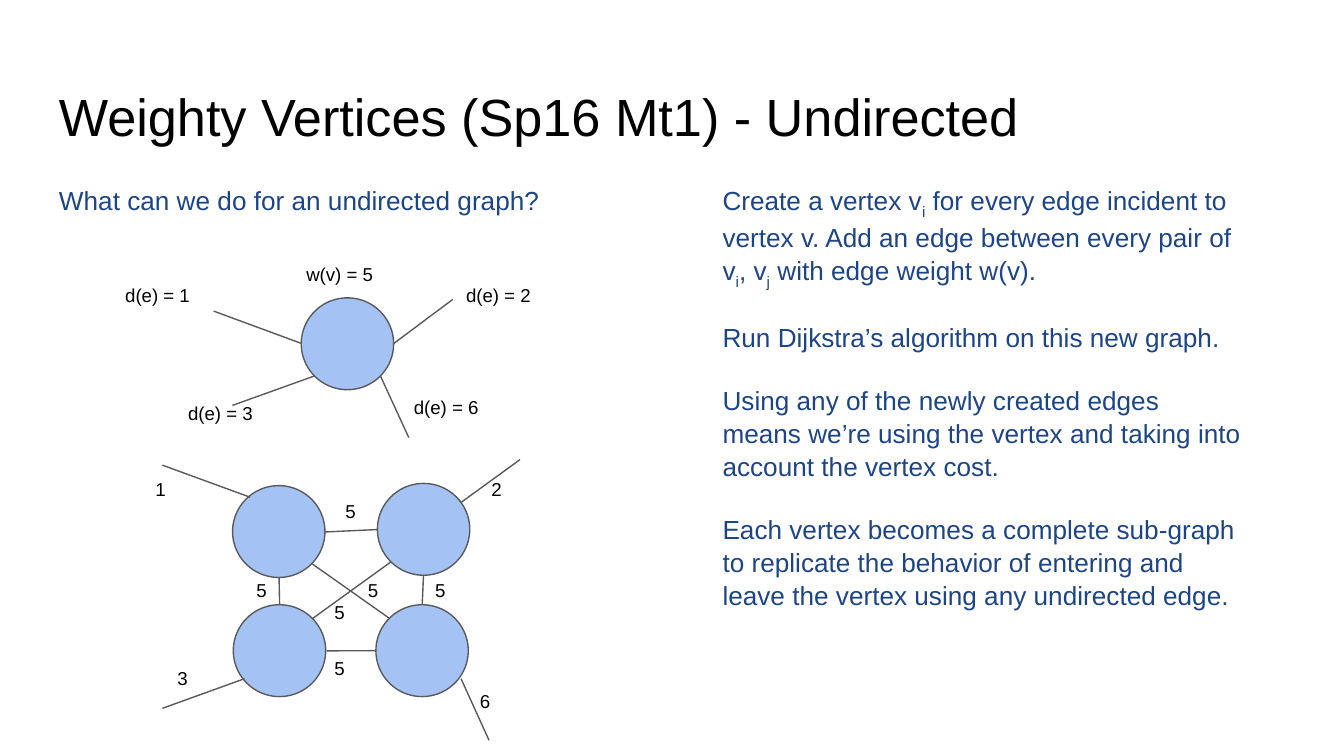
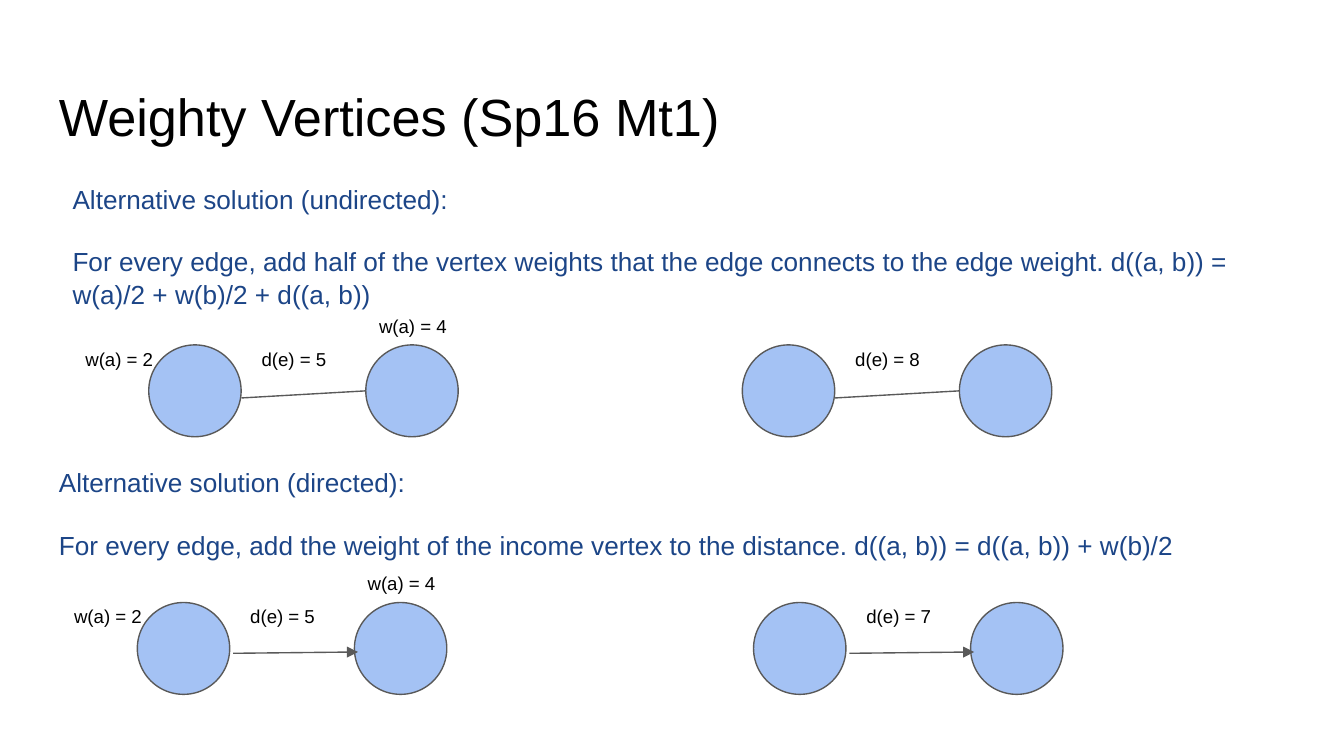
from lxml import etree
from pptx import Presentation
from pptx.dml.color import RGBColor
from pptx.enum import shapes, text
from pptx.oxml import ns
from pptx.util import Pt

BLACK = RGBColor(0x00, 0x00, 0x00)
NAVY = RGBColor(0x1C, 0x45, 0x87)
SKY = RGBColor(0xA4, 0xC2, 0xF4)
GRAY = RGBColor(0x59, 0x59, 0x59)
FONT = "Arial"
INSET = 7.2
NODE_WIDTH, NODE_HEIGHT = 49.5, 49.2


def add_text(slide, box, paragraphs, size, color, line_spacing=1.0, space_after=0):
    frame = slide.shapes.add_textbox(*map(Pt, box)).text_frame
    frame.word_wrap = True
    frame.vertical_anchor = text.MSO_ANCHOR.TOP
    frame.margin_left = frame.margin_right = Pt(INSET)
    frame.margin_top = frame.margin_bottom = Pt(INSET)
    for index, content in enumerate(paragraphs):
        paragraph = frame.add_paragraph() if index else frame.paragraphs[0]
        paragraph.line_spacing = line_spacing
        paragraph.space_after = Pt(space_after)
        for position, part in enumerate(content.split("_")):
            run = paragraph.add_run()
            run.text = part
            run.font.name = FONT
            run.font.size = Pt(size)
            run.font.color.rgb = color
            if position % 2:
                run._r.get_or_add_rPr().set("baseline", "-25000")


def add_title(slide, title):
    add_text(slide, (24.5, 35.3, 671, 45.4), [title], 28, BLACK, 1.08)


def add_body(slide, box, paragraphs):
    add_text(slide, box, paragraphs, 14, NAVY, 1.05, 16)


def add_label(slide, left, top, label, width=54.7, height=23):
    add_text(slide, (left, top, width, height), [label], 10, BLACK)


def add_node(slide, left, top):
    node = slide.shapes.add_shape(
        shapes.MSO_SHAPE.OVAL, Pt(left), Pt(top), Pt(NODE_WIDTH), Pt(NODE_HEIGHT))
    node.shadow.inherit = False
    node.fill.solid()
    node.fill.fore_color.rgb = SKY
    node.line.color.rgb = GRAY
    node.line.width = Pt(0.75)


def add_edge(slide, left, top, ends, directed=False):
    x1, y1, x2, y2 = ends
    edge = slide.shapes.add_connector(
        shapes.MSO_CONNECTOR.STRAIGHT,
        Pt(left + x1), Pt(top + y1), Pt(left + x2), Pt(top + y2))
    edge.line.color.rgb = GRAY
    edge.line.width = Pt(0.75)
    if directed:
        arrow = etree.SubElement(edge.line._get_or_add_ln(), ns.qn("a:tailEnd"))
        arrow.set("type", "triangle")
        arrow.set("w", "med")
        arrow.set("len", "med")
    etree.SubElement(edge._element.spPr, ns.qn("a:effectLst"))


def draw_graph(slide, left, top, nodes, edges, labels, label_width):
    for x, y in nodes:
        add_node(slide, left + x, top + y)
    for ends in edges:
        add_edge(slide, left, top, ends)
    for label, x, y in labels:
        add_label(slide, left + x, top + y, label, label_width)


def draw_weighted_vertex(slide, left, top):
    edges = [(54.5, 31.7, 101.5, 49), (64.5, 82.2, 108.6, 66.4),
             (159, 99.4, 143.8, 66.4), (151, 49, 182.6, 25.4)]
    labels = [("w(v) = 5", 97, 0), ("d(e) = 2", 182.6, 11), ("d(e) = 6", 154.6, 71.2),
              ("d(e) = 1", 0, 11), ("d(e) = 3", 33.7, 74.3)]
    draw_graph(slide, left, top, [(101.4, 24.6)], edges, labels, 54.7)


def draw_complete_subgraph(slide, left, top):
    nodes = [(49.6, 15.2), (127.2, 14), (50, 79), (126.4, 79)]
    outer_edges = [(12, 134.5, 56, 118.6), (12, 4.2, 59, 21.4),
                   (187, 151.6, 172, 118.6), (172, 24.2, 203.6, 1.2)]
    inner_edges = [(99.2, 40, 127.2, 38.7), (100, 103.7, 126.4, 103.6),
                   (151.9, 63.2, 151.2, 79), (74.5, 64.4, 74.8, 79),
                   (92.4, 86.4, 134.5, 56), (92.4, 57.2, 133.8, 86.4)]
    labels = [("1", 1.2, 4.8), ("3", 13, 106.4), ("6", 175, 118.6), ("2", 181.2, 4.8)]
    inner_labels = [(151, 58.8), (97, 71), (55.2, 58.8),
                    (115, 58.8), (97, 101), (103, 16.8)]
    labels += [("5", x, y) for x, y in inner_labels]
    draw_graph(slide, left, top, nodes, outer_edges + inner_edges, labels, 23)


def draw_edge_pair(slide, left, top, distance, weighted=False, directed=False):
    second = 116.3
    for x in (0, second):
        add_node(slide, left + x, top)
    ends = (51.3, 27.2, 118.2, 26.5) if directed else (49.7, 28.4, second, 24.6)
    add_edge(slide, left, top, ends, directed)
    labels = [(f"d(e) = {distance}", 53.4, -4.7)]
    if weighted:
        labels += [("w(a) = 2", -41, -4.7), ("w(a) = 4", second, -22.4)]
    for label, x, y in labels:
        add_label(slide, left + x, top + y, label, 81.4, 33)


def build_undirected_slide(slide):
    add_title(slide, "Weighty Vertices (Sp16 Mt1) - Undirected")
    add_body(slide, (24.5, 90.7, 656.6, 67.7), ["What can we do for an undirected graph?"])
    draw_weighted_vertex(slide, 60, 135)
    draw_complete_subgraph(slide, 75, 245)
    add_body(slide, (380, 90.7, 292.3, 275.8), [
        "Create a vertex v_i_ for every edge incident to vertex v. "
        "Add an edge between every pair of v_i_, v_j_ with edge weight w(v).",
        "Run Dijkstra’s algorithm on this new graph.",
        "Using any of the newly created edges means we’re using the vertex "
        "and taking into account the vertex cost.",
        "Each vertex becomes a complete sub-graph to replicate the behavior "
        "of entering and leave the vertex using any undirected edge.",
    ])


def build_alternatives_slide(slide):
    add_title(slide, "Weighty Vertices (Sp16 Mt1)")
    add_body(slide, (31.8, 90, 636.5, 87), [
        "Alternative solution (undirected):",
        "For every edge, add half of the vertex weights that the edge connects "
        "to the edge weight. d((a, b)) = w(a)/2 + w(b)/2 + d((a, b))",
    ])
    draw_edge_pair(slide, 79.7, 184.8, 5, weighted=True)
    draw_edge_pair(slide, 397.7, 184.8, 8)
    add_body(slide, (24.5, 241.9, 636.5, 87), [
        "Alternative solution (directed):",
        "For every edge, add the weight of the income vertex to the distance. "
        "d((a, b)) = d((a, b)) + w(b)/2",
    ])
    draw_edge_pair(slide, 73.6, 322.8, 5, weighted=True, directed=True)
    draw_edge_pair(slide, 403.7, 322.8, 7, directed=True)


def main():
    presentation = Presentation()
    presentation.slide_width, presentation.slide_height = Pt(720), Pt(405)
    for build in (build_undirected_slide, build_alternatives_slide):
        build(presentation.slides.add_slide(presentation.slide_layouts[6]))
    presentation.save("out.pptx")


if __name__ == "__main__":
    main()
